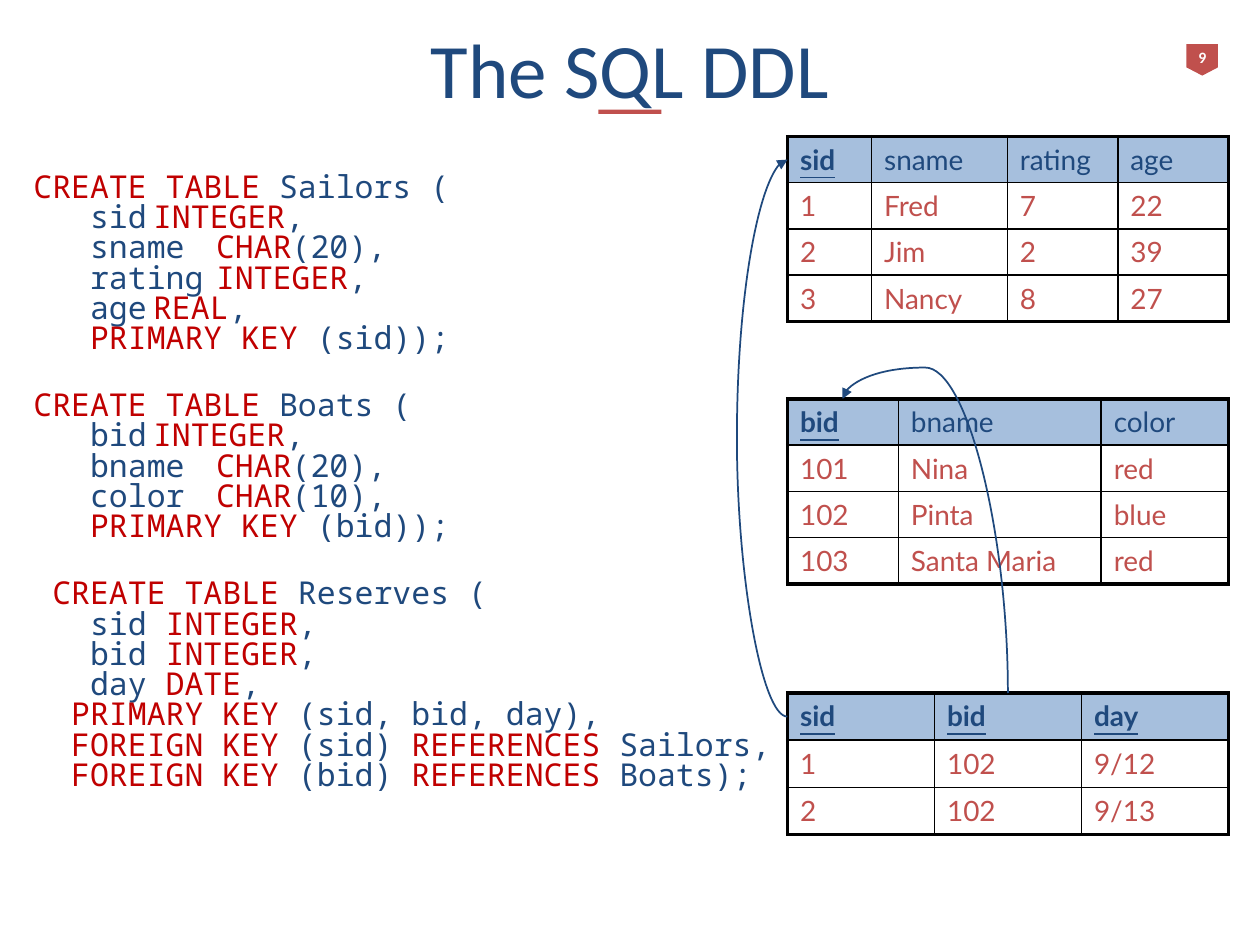
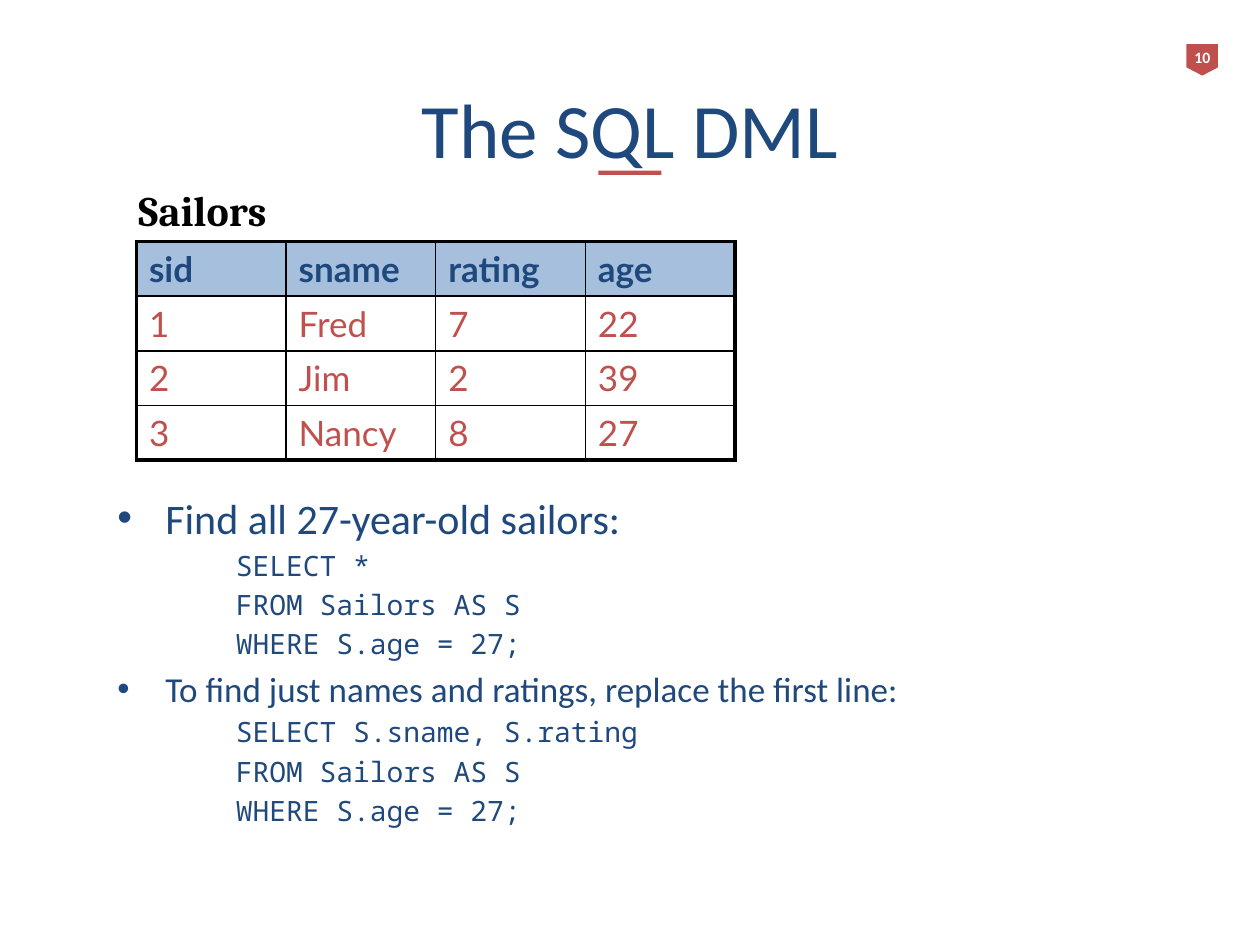
from pptx import Presentation
from pptx.dml.color import RGBColor
from pptx.enum.shapes import MSO_CONNECTOR, MSO_SHAPE
from pptx.enum.text import MSO_ANCHOR, MSO_AUTO_SIZE, PP_ALIGN
from pptx.oxml.ns import qn
from pptx.util import Emu, Inches, Pt
from lxml import etree

CENTER, MIDDLE = PP_ALIGN.CENTER, MSO_ANCHOR.MIDDLE
GROW = MSO_AUTO_SIZE.SHAPE_TO_FIT_TEXT
RECTANGLE, PENTAGON = MSO_SHAPE.RECTANGLE, MSO_SHAPE.PENTAGON
CURVE = MSO_CONNECTOR.CURVE

COLORS = {"navy": "1F497D", "red": "C0504D", "keyword": "C00000",
          "header": "4F81BD", "white": "FFFFFF", "black": "000000"}
SANS, TABLE_FONT, MONO, SERIF = "Calibri", "Lato", "Noto Sans Mono", "Cambria"

# The page is a grid of 120 columns by 90 rows
WIDTH, HEIGHT = Inches(10), Inches(7.5)
COLUMN, ROW = WIDTH // 120, HEIGHT // 90
CODE_SIZE = 18
CHARACTER = Pt(CODE_SIZE * 0.6)  # advance of one monospaced character
OUTER, INNER = 2.25, 1  # table border widths in points


def color(name):
    return RGBColor.from_string(COLORS[name])


def grid(left, top, width, height):
    return [Emu(int(value)) for value in
            (left * COLUMN, top * ROW, width * COLUMN, height * ROW)]


def child(parent, tag, **attributes):
    element = etree.SubElement(parent, qn(tag))
    for name, value in attributes.items():
        element.set(name, str(value))
    return element


def write(paragraph, text, size=16, font=SANS, ink="navy", bold=False,
          underline=False, align=None):
    """Add one formatted run to a paragraph."""
    run = paragraph.add_run()
    run.text = text
    run.font.size, run.font.name = Pt(size), font
    run.font.color.rgb = color(ink)
    run.font.bold, run.font.underline = bold, underline
    if align is not None:
        paragraph.alignment = align


def indent(paragraph, left, first=0):
    properties = paragraph._p.get_or_add_pPr()
    properties.set("marL", str(int(left)))
    properties.set("indent", str(int(first)))
    return properties


def paragraphs(frame, count):
    return [frame.paragraphs[0]] + [frame.add_paragraph() for _ in range(count - 1)]


def add_text_frame(shapes, box, wrap=True):
    frame = shapes.add_textbox(*box).text_frame
    frame.word_wrap = wrap
    if not wrap:
        frame.auto_size = GROW
    return frame


def add_plain_shape(shapes, kind, box):
    shape = shapes.add_shape(kind, *box)
    shape.shadow.inherit = False
    shape.fill.solid()
    shape.fill.fore_color.rgb = color("red")
    shape.line.fill.background()
    return shape


def add_page_badge(slide, number):
    group = slide.shapes.add_group_shape()
    badge = add_plain_shape(group.shapes, PENTAGON, grid(113, 4.2, 3, 3))
    badge.rotation = 90
    badge.adjustments[0] = 0.26
    frame = add_text_frame(group.shapes, grid(112.5, 4, 4, 3), wrap=False)
    write(frame.paragraphs[0], number, size=9, ink="white", bold=True, align=CENTER)


def add_titled_slide(presentation, title, number, top):
    slide = presentation.slides.add_slide(presentation.slide_layouts[5])
    add_page_badge(slide, number)
    shape = slide.shapes.title
    shape.left, shape.top, shape.width, shape.height = grid(6, top, 108, 6.8)
    frame = shape.text_frame
    frame.vertical_anchor, frame.auto_size = MIDDLE, GROW
    write(frame.paragraphs[0], title, size=44, align=CENTER)
    add_plain_shape(slide.shapes, RECTANGLE, grid(57, top + 7.45, 6, 0.4))
    return slide


def format_cell(cell, text, is_header, edges, **style):
    write(cell.text_frame.paragraphs[0], text, font=TABLE_FONT, **style)
    properties = cell._tc.get_or_add_tcPr()
    for side, is_outer in zip("LRTB", edges):
        line = child(properties, f"a:ln{side}", w=Pt(OUTER if is_outer else INNER))
        child(child(line, "a:solidFill"), "a:srgbClr", val=COLORS["black"])
    cell.fill.solid()
    cell.fill.fore_color.rgb = color("header" if is_header else "white")
    if is_header:
        fill = properties.find(qn("a:solidFill"))
        child(fill[0], "a:alpha", val=50000)


def add_data_table(slide, box, rows, shares, size=16, bold=0, underline=0):
    """The first `bold` and `underline` header cells get that format."""
    row_count, column_count = len(rows), len(shares)
    table = slide.shapes.add_table(row_count, column_count, *box).table
    table.first_row = table.horz_banding = False
    for column, share in zip(table.columns, shares):
        column.width = Emu(int(box[2] * share / sum(shares)))
    for r, values in enumerate(rows):
        table.rows[r].height = Emu(box[3] // row_count)
        for c, text in enumerate(values):
            edges = (c == 0, c == column_count - 1, r == 0, r == row_count - 1)
            format_cell(table.cell(r, c), text, r == 0, edges, size=size,
                        ink="red" if r else "navy",
                        bold=r == 0 and c < bold,
                        underline=r == 0 and c < underline)


def add_code(slide, box, statements):
    """Lines are (indent, tab column, text); *stars* enclose keywords."""
    lines = [(number, line) for statement in statements
             for number, line in enumerate(statement)]
    frame = add_text_frame(slide.shapes, box)
    for position, (paragraph, (number, (start, tab, text))) in enumerate(
            zip(paragraphs(frame, len(lines)), lines)):
        paragraph.line_spacing = 0.8
        if position and number == 0:
            paragraph.space_before = Pt(21)
        properties = indent(paragraph, start * CHARACTER)
        if tab:
            child(child(properties, "a:tabLst"), "a:tab",
                  pos=tab * CHARACTER, algn="l")
        for part, piece in enumerate(text.split("*")):
            if piece:
                write(paragraph, piece, size=CODE_SIZE, font=MONO,
                      ink="keyword" if part % 2 else "navy")


def add_curved_arrow(slide, start, end, turn, bend):
    """Curve turned by `turn` degrees, bulging `bend` columns from its start."""
    (x1, y1), (x2, y2) = [grid(*point, 0, 0)[:2] for point in (start, end)]
    width, height = abs(x2 - x1), abs(y2 - y1)
    if turn == 90:
        width, height = height, width
    width = max(width, 1588)  # a bend is a share of the width, so never zero
    left, top = (x1 + x2 - width) // 2, (y1 + y2 - height) // 2
    arrow = slide.shapes.add_connector(
        CURVE, Emu(left + width), Emu(top), Emu(left), Emu(top + height))
    arrow.line.color.rgb = color("navy")
    arrow.line.width = Pt(1)
    properties = arrow._element.spPr
    properties.find(qn("a:xfrm")).set("rot", str(turn * 60000))
    guides = properties.find(qn("a:prstGeom")).find(qn("a:avLst"))
    child(guides, "a:gd", name="adj1",
          fmla=f"val {int(bend * COLUMN / width * 100000)}")
    child(properties.find(qn("a:ln")), "a:tailEnd", type="triangle")
    child(properties, "a:effectLst")


def add_queries(slide, box, queries):
    """Each query is a bulleted lead with its size, then lines of code."""
    lines = [(text, size) for lead, size, code in queries
             for text, size in [(lead, size)] + [(row, None) for row in code]]
    frame = add_text_frame(slide.shapes, box)
    for paragraph, (text, size) in zip(paragraphs(frame, len(lines)), lines):
        paragraph.space_before = Pt((size or 16) * 0.2)
        if size:
            properties = indent(paragraph, Inches(0.38), -Inches(0.38))
            child(properties, "a:buFont", typeface="Arial")
            child(properties, "a:buChar", char="•")
            write(paragraph, text, size=size)
        else:
            paragraph.level = 1
            indent(paragraph, Inches(0.94))
            write(paragraph, text, font=MONO)


SAILORS = [("sid", "sname", "rating", "age"), ("1", "Fred", "7", "22"),
           ("2", "Jim", "2", "39"), ("3", "Nancy", "8", "27")]
BOATS = [("bid", "bname", "color"), ("101", "Nina", "red"),
         ("102", "Pinta", "blue"), ("103", "Santa Maria", "red")]
RESERVES = [("sid", "bid", "day"), ("1", "102", "9/12"), ("2", "102", "9/13")]

STATEMENTS = [
    [(0, 0, "*CREATE TABLE* Sailors ("),
     (3, 10, "sid\t*INTEGER*,"),
     (3, 10, "sname\t*CHAR*(20),"),
     (3, 10, "rating\t*INTEGER*,"),
     (3, 10, "age\t*REAL*,"),
     (3, 0, "*PRIMARY KEY* (sid));")],
    [(0, 0, "*CREATE TABLE* Boats ("),
     (3, 9, "bid\t*INTEGER*,"),
     (3, 9, "bname\t*CHAR*(20),"),
     (3, 9, "color\t*CHAR*(10),"),
     (3, 0, "*PRIMARY KEY* (bid));")],
    [(1, 0, "*CREATE TABLE* Reserves ("),
     (3, 0, "sid *INTEGER*,"),
     (3, 0, "bid *INTEGER*,"),
     (3, 0, "day *DATE*,"),
     (2, 0, "*PRIMARY KEY* (sid, bid, day),"),
     (2, 0, "*FOREIGN KEY* (sid) *REFERENCES* Sailors,"),
     (2, 0, "*FOREIGN KEY* (bid) *REFERENCES* Boats);")],
]
SOURCE_LINES = ["FROM Sailors AS S", "WHERE S.age = 27;"]
QUERIES = [
    ("Find all 27-year-old sailors:", 24, ["SELECT *"] + SOURCE_LINES),
    ("To find just names and ratings, replace the first line:", 20,
     ["SELECT S.sname, S.rating"] + SOURCE_LINES),
]


def build_ddl_slide(presentation):
    slide = add_titled_slide(presentation, "The SQL DDL", "9", top=3)
    add_code(slide, grid(2, 16, 74, 67), STATEMENTS)
    # Tables, with their key columns underlined
    add_data_table(slide, grid(75, 13, 42, 17.6), SAILORS,
                   (0.67, 1.08, 0.88, 0.88), bold=1, underline=1)
    add_data_table(slide, grid(75, 38, 42, 17.6), BOATS,
                   (0.88, 1.61, 1.01), bold=1, underline=1)
    add_data_table(slide, grid(75, 66, 42, 13.5), RESERVES,
                   (1, 1, 1), bold=3, underline=3)
    # Foreign keys point at the keys they reference
    add_curved_arrow(slide, (75, 68.25), (75, 15.2), turn=180, bend=-5.3)
    add_curved_arrow(slide, (96, 66), (80.25, 38), turn=90, bend=31)


def build_dml_slide(presentation):
    slide = add_titled_slide(presentation, "The SQL DML", "10", top=8.8)
    add_queries(slide, grid(10, 46.3, 100.2, 36.7), QUERIES)
    add_data_table(slide, grid(13, 23, 57, 20.8), SAILORS, (1, 1, 1, 1),
                   size=20, bold=4)
    caption = add_text_frame(slide.shapes, grid(12, 17, 15.2, 6.1), wrap=False)
    write(caption.paragraphs[0], "Sailors", size=24, font=SERIF, ink="black", bold=True)


presentation = Presentation()
presentation.slide_width, presentation.slide_height = WIDTH, HEIGHT
build_ddl_slide(presentation)
build_dml_slide(presentation)
presentation.save("out.pptx")
